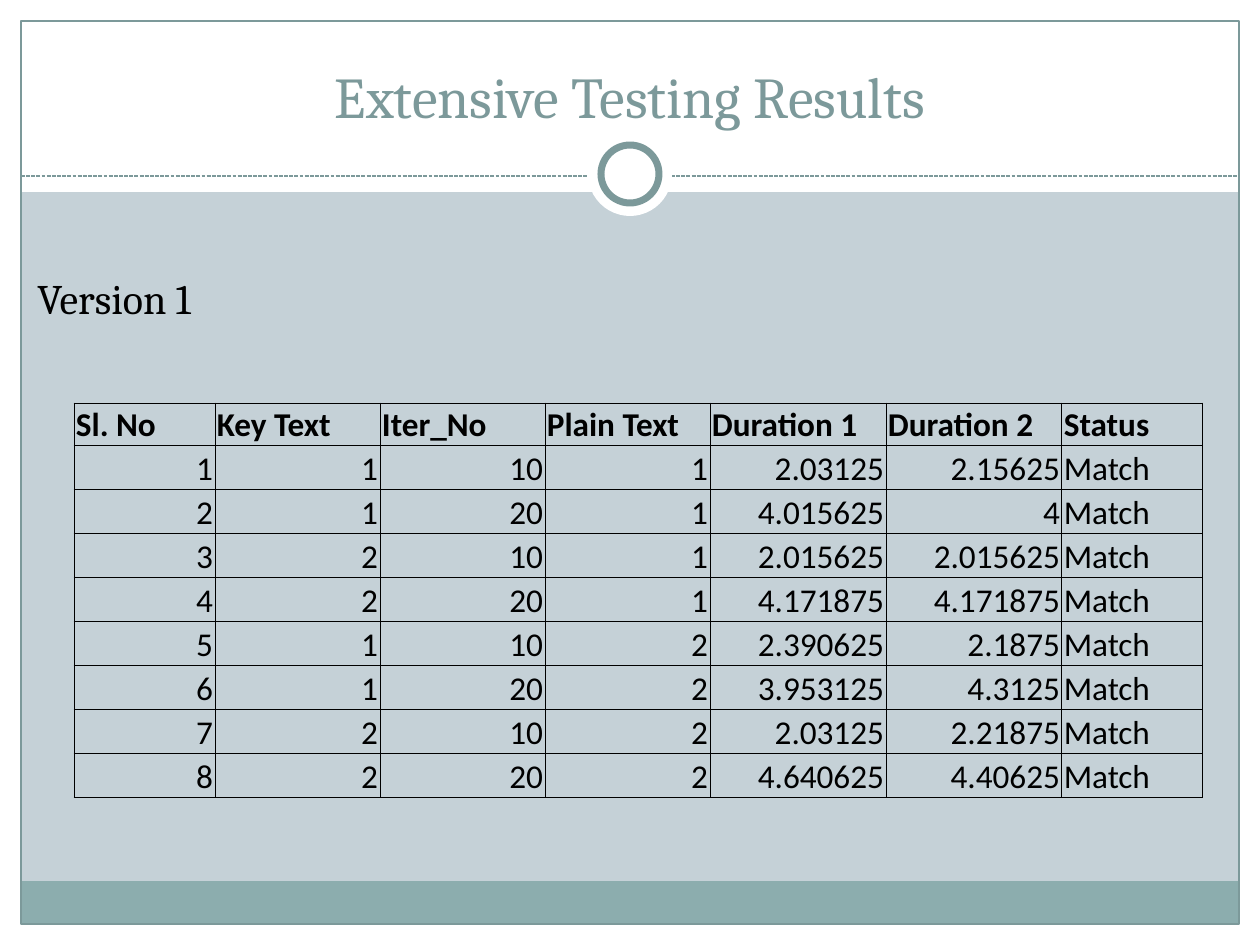
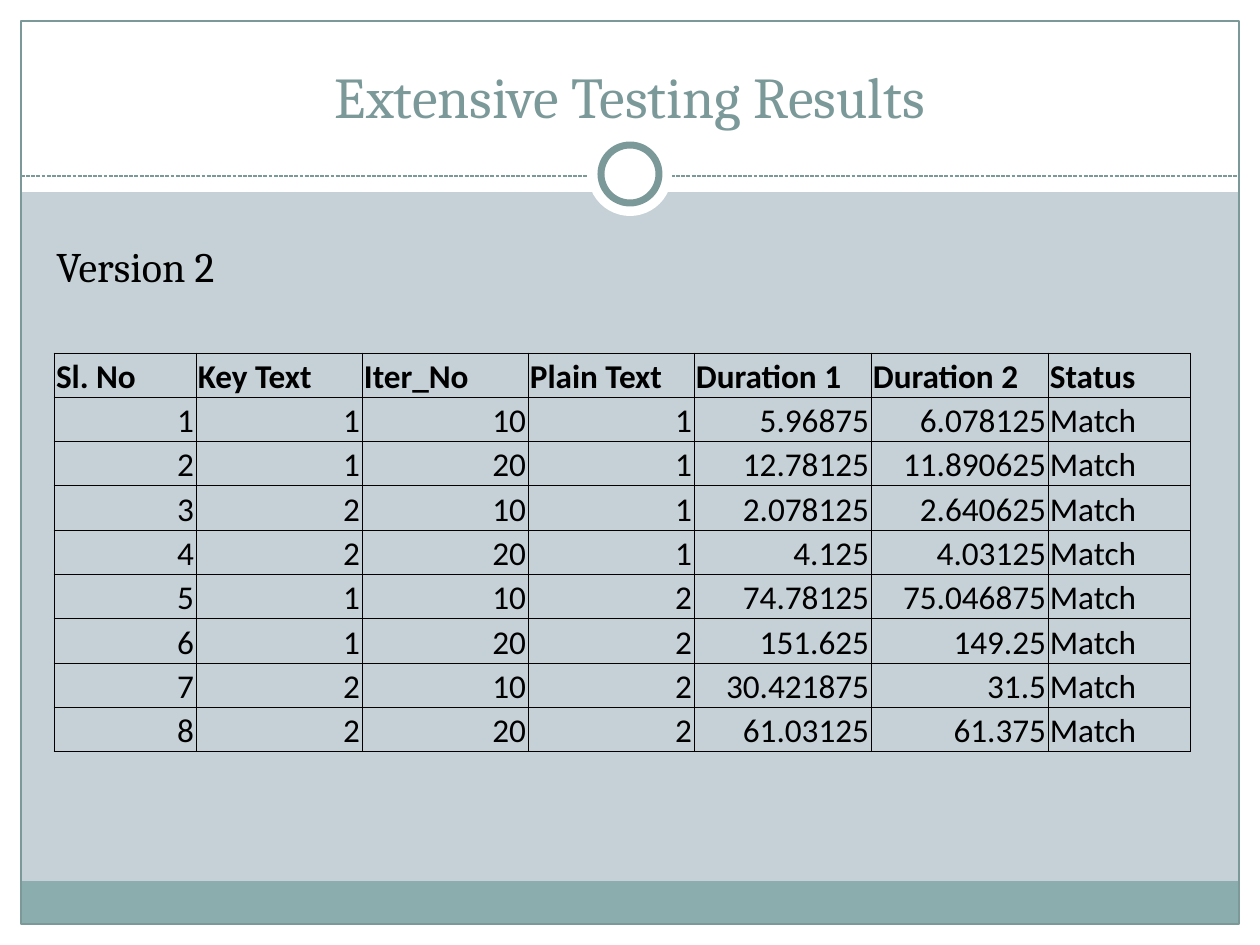
from dataclasses import dataclass
from itertools import product

from lxml import etree
from pptx import Presentation
from pptx import util as u
from pptx.dml.color import RGBColor
from pptx.enum import dml, shapes, text
from pptx.oxml.ns import qn

TITLE = "Extensive Testing Results"
HEADINGS = ["Sl. No", "Key Text", "Iter_No", "Plain Text",
            "Duration 1", "Duration 2", "Status"]
STATUS = "Match"
PLAIN_TEXTS, KEY_TEXTS, ITERATIONS = (1, 2), (1, 2), (10, 20)

# Boxes are left, top, width, height in px; a pair of durations is one test.
VERSIONS = [
    dict(label="Version 1", label_box=(25, 266, 814, 102),
         table_at=(74, 403), columns=(141, 165, 165, 165, 176, 176, 141),
         header_height=42, body_height=353,
         durations=[("2.03125", "2.15625"), ("4.015625", "4"),
                    ("2.015625", "2.015625"), ("4.171875", "4.171875"),
                    ("2.390625", "2.1875"), ("3.953125", "4.3125"),
                    ("2.03125", "2.21875"), ("4.640625", "4.40625")]),
    dict(label="Version 2", label_box=(44, 234, 436, 63),
         table_at=(54, 353), columns=(142, 166, 166, 166, 177, 177, 142),
         header_height=44, body_height=355,
         durations=[("5.96875", "6.078125"), ("12.78125", "11.890625"),
                    ("2.078125", "2.640625"), ("4.125", "4.03125"),
                    ("74.78125", "75.046875"), ("151.625", "149.25"),
                    ("30.421875", "31.5"), ("61.03125", "61.375")]),
]


@dataclass(frozen=True)
class Theme:
    paper: str = "FFFFFF"
    panel: str = "C5D1D7"
    footer: str = "8CADAE"
    accent: str = "7C999A"
    ink: str = "000000"
    serif: str = "Cambria"
    sans: str = "Calibri"
    title_size: int = 33
    label_size: int = 24
    table_size: int = 19
    hairline: float = 0.75
    ring_line: float = 4
    grid_line: float = 0.5


THEME = Theme()
WIDTH, HEIGHT, MARGIN = 1260, 945, 21
HEADER_HEIGHT, FOOTER_HEIGHT, DIVIDER_Y = 192, 43, 176
DISC_SIZE, RING_SIZE, RING_CENTRE_Y = 84, 58, 174
TITLE_BOX = (42, 32, 1176, 104)
CELL_INSET = 2


def px(length):
    return u.Emu(round(length * u.Inches(1) / 126))


def rgb(colour):
    return RGBColor.from_string(colour)


def add_panel(slide, kind, box, fill=None, line=None, width=THEME.hairline):
    panel = slide.shapes.add_shape(kind, *map(px, box))
    panel.shadow.inherit = False
    if fill:
        panel.fill.solid()
        panel.fill.fore_color.rgb = rgb(fill)
    else:
        panel.fill.background()
    if line:
        panel.line.color.rgb = rgb(line)
        panel.line.width = u.Pt(width)
    else:
        panel.line.fill.background()


def add_run(paragraph, words, font, size, colour, bold=False):
    run = paragraph.add_run()
    run.text = words
    run.font.name, run.font.size, run.font.bold = font, u.Pt(size), bold
    run.font.color.rgb = rgb(colour)


def add_text(slide, box, words, size, colour, align, anchor):
    frame = slide.shapes.add_textbox(*map(px, box)).text_frame
    frame.word_wrap = True
    frame.vertical_anchor = anchor
    frame.paragraphs[0].alignment = align
    add_run(frame.paragraphs[0], words, THEME.serif, size, colour)


def add_divider(slide):
    divider = slide.shapes.add_connector(
        shapes.MSO_CONNECTOR.STRAIGHT, px(MARGIN), px(DIVIDER_Y),
        px(WIDTH - MARGIN), px(DIVIDER_Y))
    divider.line.color.rgb = rgb(THEME.accent)
    divider.line.width = u.Pt(THEME.hairline)
    divider.line.dash_style = dml.MSO_LINE.SQUARE_DOT
    properties = divider.line._get_or_add_ln().getparent()
    etree.SubElement(properties, qn("a:effectLst"))


def add_master_parts(slide):
    """Draw the background, bands, frame, ring and title that slides share."""
    slide.background.fill.solid()
    slide.background.fill.fore_color.rgb = rgb(THEME.panel)
    rectangle, oval = shapes.MSO_SHAPE.RECTANGLE, shapes.MSO_SHAPE.OVAL
    inner_width = WIDTH - 2 * MARGIN
    for border in [(0, HEIGHT - MARGIN, WIDTH, MARGIN),
                   (0, 0, WIDTH, HEADER_HEIGHT),
                   (0, 0, MARGIN, HEIGHT),
                   (WIDTH - MARGIN, 0, MARGIN, HEIGHT)]:
        add_panel(slide, rectangle, border, THEME.paper)
    footer_top = HEIGHT - MARGIN - FOOTER_HEIGHT
    add_panel(slide, rectangle,
              (MARGIN, footer_top, inner_width, FOOTER_HEIGHT), THEME.footer)
    add_panel(slide, rectangle,
              (MARGIN, MARGIN, inner_width, HEIGHT - 2 * MARGIN),
              line=THEME.accent)
    add_divider(slide)
    for size, line in [(DISC_SIZE, None), (RING_SIZE, THEME.accent)]:
        circle = ((WIDTH - size) / 2, RING_CENTRE_Y - size / 2, size, size)
        add_panel(slide, oval, circle, THEME.paper, line, THEME.ring_line)
    add_text(slide, TITLE_BOX, TITLE, THEME.title_size, THEME.accent,
             text.PP_ALIGN.CENTER, text.MSO_ANCHOR.BOTTOM)


def result_rows(durations):
    """Pair each combination of test settings with its durations."""
    settings = product(PLAIN_TEXTS, KEY_TEXTS, ITERATIONS)
    return [[str(number), str(key), str(iteration), str(plain), *pair, STATUS]
            for number, ((plain, key, iteration), pair)
            in enumerate(zip(settings, durations), 1)]


def add_cell_borders(cell):
    properties = cell._tc.get_or_add_tcPr()
    for position, side in enumerate(("lnL", "lnR", "lnT", "lnB")):
        border = etree.Element(qn(f"a:{side}"), w=str(u.Pt(THEME.grid_line)))
        fill = etree.SubElement(border, qn("a:solidFill"))
        etree.SubElement(fill, qn("a:srgbClr"), val=THEME.ink)
        properties.insert(position, border)


def fill_cell(cell, words, bold, align):
    cell.fill.background()
    cell.vertical_anchor = text.MSO_ANCHOR.BOTTOM
    cell.margin_left = cell.margin_right = cell.margin_top = px(CELL_INSET)
    cell.margin_bottom = 0
    paragraph = cell.text_frame.paragraphs[0]
    paragraph.alignment = align
    add_run(paragraph, words, THEME.sans, THEME.table_size, THEME.ink, bold)
    add_cell_borders(cell)


def add_results(slide, version):
    rows = [HEADINGS, *result_rows(version["durations"])]
    columns = version["columns"]
    header, body = version["header_height"], version["body_height"]
    size = (sum(columns), header + body)
    table = slide.shapes.add_table(
        len(rows), len(columns), *map(px, version["table_at"] + size)).table
    table.first_row = table.horz_banding = False
    for column, width in zip(table.columns, columns):
        column.width = px(width)
    for r, row in enumerate(rows):
        is_header = r == 0
        table.rows[r].height = px(header if is_header else body / (len(rows) - 1))
        for c, words in enumerate(row):
            is_number = not is_header and words != STATUS
            align = text.PP_ALIGN.RIGHT if is_number else text.PP_ALIGN.LEFT
            fill_cell(table.cell(r, c), words, is_header, align)


def main():
    deck = Presentation()
    deck.slide_width, deck.slide_height = px(WIDTH), px(HEIGHT)
    for version in VERSIONS:
        slide = deck.slides.add_slide(deck.slide_layouts[6])
        add_master_parts(slide)
        add_results(slide, version)
        add_text(slide, version["label_box"], version["label"],
                 THEME.label_size, THEME.ink,
                 text.PP_ALIGN.LEFT, text.MSO_ANCHOR.TOP)
    deck.save("out.pptx")


if __name__ == "__main__":
    main()
